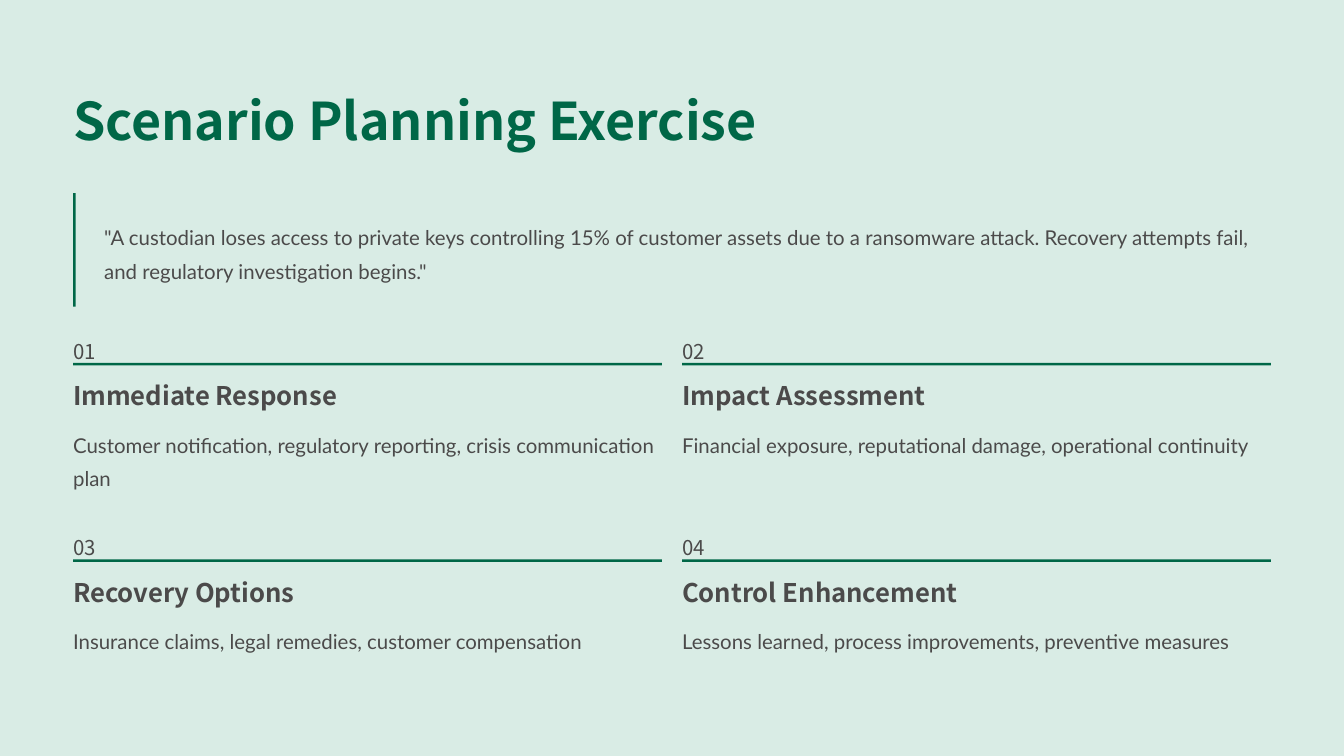
"""Build the scenario planning exercise slide."""
import lxml.etree
import pptx
import pptx.dml.color
import pptx.enum.shapes
import pptx.enum.text
import pptx.oxml.ns
import pptx.util

Inches = pptx.util.Inches
Pt = pptx.util.Pt
RGBColor = pptx.dml.color.RGBColor

TITLE = "Scenario Planning Exercise"
SCENARIO = (
    '"A custodian loses access to private keys controlling 15% of customer assets '
    "due to a ransomware attack. Recovery attempts fail, "
    'and regulatory investigation begins."'
)
STEPS = [
    ("Immediate Response", 3.31,
     "Customer notification, regulatory reporting, crisis communication plan"),
    ("Impact Assessment", 3.1,
     "Financial exposure, reputational damage, operational continuity"),
    ("Recovery Options", 3.1,
     "Insurance claims, legal remedies, customer compensation"),
    ("Control Enhancement", 3.47,
     "Lessons learned, process improvements, preventive measures"),
]
DETAIL_HEIGHTS = [0.79, 0.4]

BLACK = RGBColor(0x00, 0x00, 0x00)
MINT = RGBColor(0xE5, 0xF9, 0xF2)
GREEN = RGBColor(0x00, 0x67, 0x47)
GREY = RGBColor(0x4B, 0x4A, 0x4A)
HEADING_FONT = "Noto Sans CJK SC"
BODY_FONT = "Lato"

PAGE_WIDTH = 16
PAGE_HEIGHT = 9
MARGIN = 0.87
COLUMN_WIDTH = 7.01
COLUMN_STEP = 7.25
GRID_TOP = 3.93
ROW_STEP = 2.34
RULE_WEIGHT = 0.03


def add_text(page, text, left, top, width, height, *, font=BODY_FONT, size=17.5,
             color=GREY, bold=False, spacing=28.5, wrap=False):
    box = page.shapes.add_textbox(
        Inches(left), Inches(top), Inches(width), Inches(height))
    frame = box.text_frame
    frame.margin_left = frame.margin_right = 0
    frame.margin_top = frame.margin_bottom = 0
    frame.vertical_anchor = pptx.enum.text.MSO_ANCHOR.TOP
    frame.word_wrap = wrap
    para = frame.paragraphs[0]
    para.line_spacing = Pt(spacing)
    span = para.add_run()
    span.text = text
    span.font.name = font
    span.font.size = Pt(size)
    span.font.bold = bold
    span.font.color.rgb = color


def add_bar(page, left, top, width, height, color=GREEN):
    bar = page.shapes.add_shape(
        pptx.enum.shapes.MSO_SHAPE.RECTANGLE,
        Inches(left), Inches(top), Inches(width), Inches(height))
    bar.shadow.inherit = False
    bar.fill.solid()
    bar.fill.fore_color.rgb = color
    bar.line.fill.background()
    return bar


def add_backdrop(page):
    page.background.fill.solid()
    page.background.fill.fore_color.rgb = BLACK
    veil = add_bar(page, 0, 0, PAGE_WIDTH, PAGE_HEIGHT, MINT)
    tint = veil.fill._xPr.find(".//" + pptx.oxml.ns.qn("a:srgbClr"))
    alpha = lxml.etree.SubElement(tint, pptx.oxml.ns.qn("a:alpha"))
    alpha.set("val", "95000")


def add_step(page, index, heading, heading_width, detail):
    row, column = divmod(index, 2)
    left = MARGIN + column * COLUMN_STEP
    top = GRID_TOP + row * ROW_STEP
    add_text(page, f"{index + 1:02d}", left, top, 0.3, 0.31, font=HEADING_FONT)
    add_bar(page, left, top + 0.39, COLUMN_WIDTH, RULE_WEIGHT)
    add_text(page, heading, left, top + 0.58, heading_width, 0.39,
             font=HEADING_FONT, size=22, bold=True, spacing=27.5)
    add_text(page, detail, left, top + 1.12, COLUMN_WIDTH, DETAIL_HEIGHTS[row],
             wrap=True)


def main():
    deck = pptx.Presentation()
    deck.slide_width = Inches(PAGE_WIDTH)
    deck.slide_height = Inches(PAGE_HEIGHT)
    page = deck.slides.add_slide(deck.slide_layouts[6])

    add_backdrop(page)
    add_text(page, TITLE, MARGIN, 1.03, 8.58, 0.78, font=HEADING_FONT,
             size=44.5, color=GREEN, bold=True, spacing=55.5)
    add_text(page, SCENARIO, 1.24, 2.58, 13.89, 0.79, wrap=True)
    add_bar(page, MARGIN, 2.3, RULE_WEIGHT, 1.35)
    for index, step in enumerate(STEPS):
        add_step(page, index, *step)

    deck.save("out.pptx")


if __name__ == "__main__":
    main()
